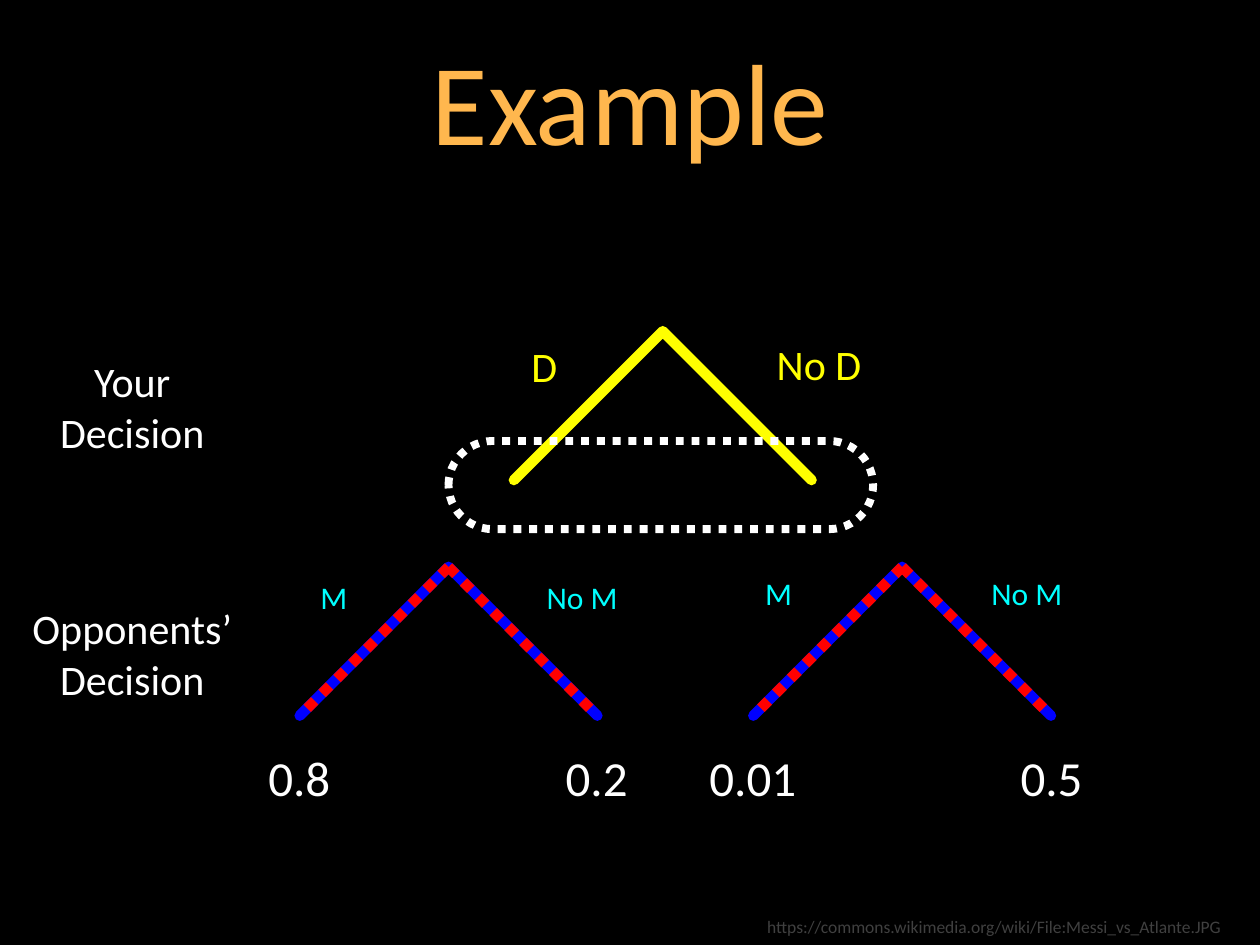
from lxml import etree
from pptx import Presentation
from pptx.util import Inches, Pt
from pptx.dml.color import RGBColor
from pptx.enum import dml, shapes, text
from pptx.oxml import ns

HUES = {
    "back": "000000", "title": "FFB74E", "link": "404040", "you": "FFFF00",
    "foe": "0000FF", "dash": "FF0000", "move": "00FFFF", "plain": "FFFFFF",
}


class Board:
    font = "Calibri"

    def __init__(self, deck):
        self.slide = deck.slides.add_slide(deck.slide_layouts[6])
        fill = self.slide.background.fill
        fill.solid()
        fill.fore_color.rgb = self.hue("back")

    def hue(self, name):
        return RGBColor.from_string(HUES[name])

    def label(self, words, x, y, w, h, size, hue, mid=False, left=False):
        box = self.slide.shapes.add_textbox(Inches(x), Inches(y), Inches(w), Inches(h))
        frame = box.text_frame
        frame.word_wrap = True
        if mid:
            frame.vertical_anchor = text.MSO_ANCHOR.MIDDLE
        frame.text = words
        para = frame.paragraphs[0]
        para.alignment = text.PP_ALIGN.LEFT if left else text.PP_ALIGN.CENTER
        for run in para.runs:
            run.font.name = self.font
            run.font.size = Pt(size)
            run.font.color.rgb = self.hue(hue)

    def stroke(self, line, hue, width, dots=False):
        line.color.rgb = self.hue(hue)
        line.width = Pt(width)
        if dots:
            line.dash_style = dml.MSO_LINE.ROUND_DOT

    def outline(self, home, kind, x, y, w, h, adjs, hue, width, dots=False):
        item = home.add_shape(kind, Inches(x), Inches(y), Inches(w), Inches(h))
        item.shadow.inherit = False
        item.fill.background()
        for i, adj in enumerate(adjs):
            item.adjustments[i] = adj
        self.stroke(item.line, hue, width, dots)
        return item

    def fork(self, home, x, y, hue):
        side = 1.67
        item = self.outline(home, shapes.MSO_SHAPE.HALF_FRAME, x - side / 2,
                            y + 1.18 - side / 2, side, side, (0, 0), hue, 6)
        item.rotation = 45

    def dash(self, home, x, y, dx, dy):
        line = home.add_connector(shapes.MSO_CONNECTOR.STRAIGHT, Inches(x),
                                  Inches(y), Inches(x + dx), Inches(y + dy))
        self.stroke(line.line, "dash", 6, True)
        etree.SubElement(line._element.spPr, ns.qn("a:effectLst"))

    def tree(self, x, y):
        home = self.slide.shapes.add_group_shape().shapes
        self.fork(home, x, y, "foe")
        for dx in (1.18, -1.18):
            self.dash(home, x, y, dx, 1.18)


def main():
    deck = Presentation()
    deck.slide_width, deck.slide_height = Inches(10), Inches(7.5)
    board = Board(deck)
    board.label("Example", 0, 0.19, 10, 1.21, 66, "title")
    board.label("https://commons.wikimedia.org/wiki/File:Messi_vs_Atlante.JPG",
                5.99, 7.22, 4.01, 0.27, 10, "link", left=True)

    board.fork(board.slide.shapes, 5.26, 2.63, "you")
    for words, x, y in (("D", 3.33, 2.65), ("No D", 5.51, 2.64)):
        board.label(words, x, y, 1.98, 0.5, 24, "you")

    for x, yes, no, y in ((3.56, 2.06, 3.63, 4.54), (7.16, 5.59, 7.16, 4.51)):
        board.tree(x, 4.5)
        board.label("M", yes, y, 1.18, 0.4, 18, "move")
        board.label("No M", no, y, 1.98, 0.4, 18, "move")

    for words, y in (("Your Decision", 2.77), ("Opponents’\vDecision", 4.73)):
        board.label(words, 0.06, y, 1.98, 0.91, 24, "plain", mid=True)

    for odds, x in (("0.8", 1.88), ("0.2", 4.24), ("0.01", 5.48), ("0.5", 7.85)):
        board.label(odds, x, 5.88, 0.99, 0.57, 28, "plain", mid=True)

    board.outline(board.slide.shapes, shapes.MSO_SHAPE.ROUNDED_RECTANGLE,
                  3.56, 3.5, 3.37, 0.7, (0.5,), "plain", 4.5, True)
    deck.save("out.pptx")


if __name__ == "__main__":
    main()
